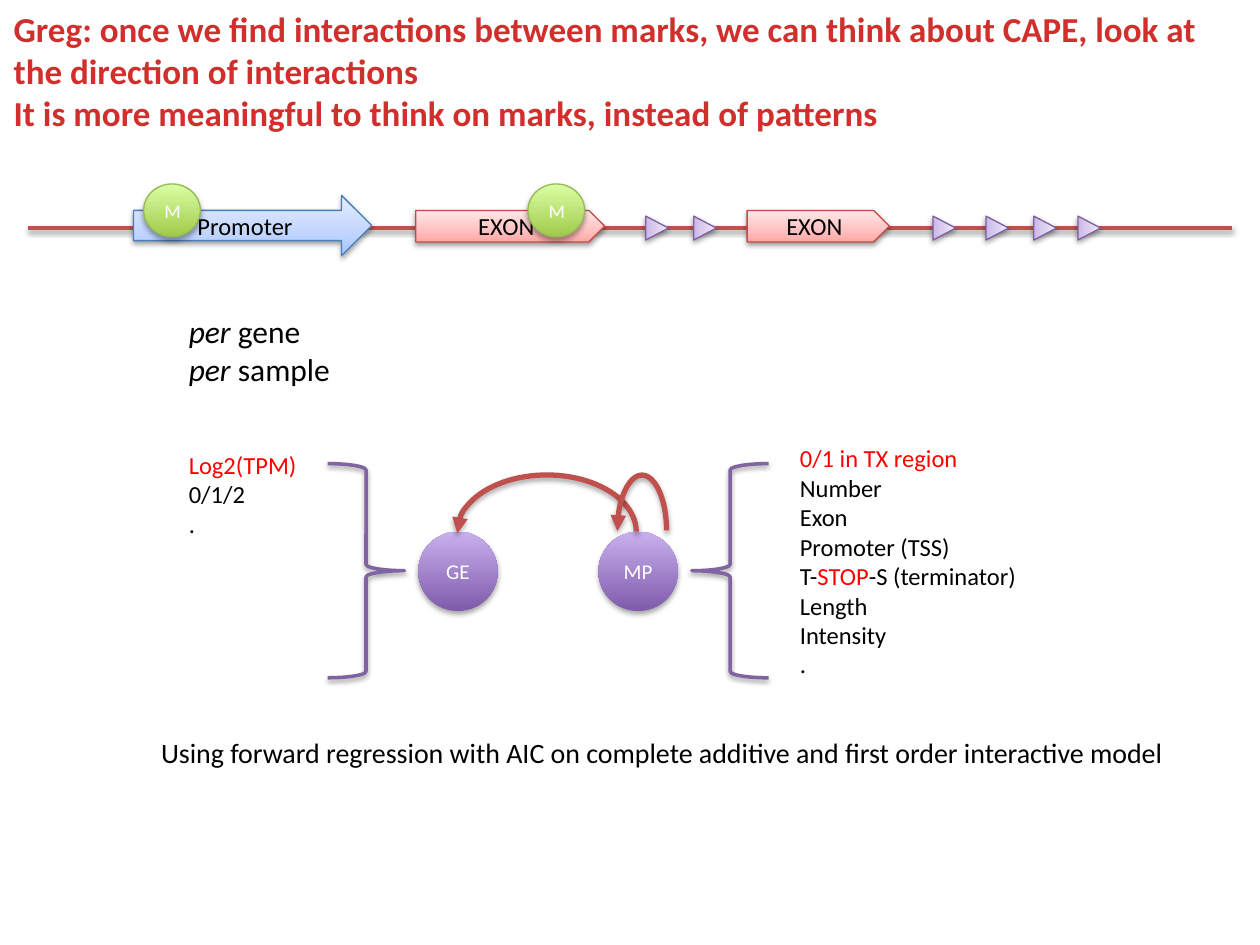
import copy

import lxml.etree
import pptx
import pptx.dml.color
import pptx.enum.shapes
import pptx.enum.text
import pptx.oxml.ns
import pptx.util

Inches = pptx.util.Inches
Pt = pptx.util.Pt
qn = pptx.oxml.ns.qn
colour = pptx.dml.color.RGBColor.from_string
Kind = pptx.enum.shapes.MSO_SHAPE
Align = pptx.enum.text.PP_ALIGN

BLACK, WHITE, RED = "000000", "FFFFFF", "FF0000"
BRICK, PURPLE = "C0504D", "8064A2"
BLUE_BLEND = [(0, "A4C4FF"), (0.35, "BFD4FF"), (1, "E6EEFF")]
PINK_BLEND = [(0, "FFA6A5"), (0.35, "FFC0BF"), (1, "FFE7E7")]
LILAC_BLEND = [(0, "C9B5E8"), (0.35, "D8CBEE"), (1, "F0EAF9")]
GREEN_BLEND = [(0, "A0CA4A"), (1, "DAFFA5")]
VIOLET_BLEND = [(0, "7F5BAB"), (1, "C8B0ED")]
TITLE_BLEND = [(0, "FC7C7A"), (0.75, "D02F2C"), (1, "C70500")]
SOFT = {"alpha": 38, "distance": 1.6}
STRONG = {"alpha": 35, "distance": 1.8}


def blend(fill, parent, stops, angle):
    fill.gradient()
    fill.gradient_angle = angle
    stop_list = parent.find(".//" + qn("a:gsLst"))
    while len(stop_list) < len(stops):
        stop_list.append(copy.deepcopy(stop_list[-1]))
    for stop, (position, value) in zip(fill.gradient_stops, stops):
        stop.position = position
        stop.color.rgb = colour(value)


def write(box, lines, size, align=Align.LEFT):
    frame = box.text_frame
    for index, line in enumerate(lines):
        para = frame.paragraphs[0] if index == 0 else frame.add_paragraph()
        para.alignment = align
        for text, value, style in line:
            if text == "\n":
                para.add_line_break()
                para._p[-1].append(copy.deepcopy(span._r.rPr))
                continue
            span = para.add_run()
            span.text = text
            look = {"name": "Calibri", "size": Pt(size), **style}
            for name, setting in look.items():
                setattr(span.font, name, setting)
            if isinstance(value, list):
                blend(span.font.fill, span._r.rPr, value, 270)
            else:
                span.font.color.rgb = colour(value)


deck = pptx.Presentation()
deck.slide_width, deck.slide_height = Inches(10), Inches(7.5)
page = deck.slides.add_slide(deck.slide_layouts[6])
shadowed = []

gene = page.shapes.add_connector(
    pptx.enum.shapes.MSO_CONNECTOR.STRAIGHT, Inches(0.22), Inches(1.81), Inches(9.78), Inches(1.81)
)
gene.line.color.rgb = colour(BRICK)
gene.line.width = Pt(2)
shadowed.append((gene, SOFT))

triangles = [
    (Kind.ISOSCELES_TRIANGLE, (left, 1.72, 0.19, 0.18), LILAC_BLEND, "7D60A0", SOFT, "", 14, BLACK, Align.CENTER)
    for left in (5.12, 5.5, 7.4, 7.82, 8.2, 8.55)
]
exons = [
    (Kind.PENTAGON, (left, 1.67, width, 0.25), PINK_BLEND, "BF4C48", SOFT, "EXON", 14, BLACK, Align.CENTER)
    for left, width in ((3.3, 1.5), (5.93, 1.13))
]
marks = [
    (Kind.OVAL, (left, 1.46, 0.45, 0.42), GREEN_BLEND, "98B955", STRONG, "M", 11, WHITE, Align.LEFT)
    for left in (4.19, 1.14)
]
nodes = [
    (Kind.OVAL, (left, 4.22, 0.63, 0.63), VIOLET_BLEND, None, STRONG, label, 12, WHITE, Align.CENTER)
    for left, label in ((3.32, "GE"), (4.75, "MP"))
]
promoter = (
    Kind.RIGHT_ARROW, (1.06, 1.55, 1.89, 0.48), BLUE_BLEND, "4B7EBC", SOFT, "Promoter", 14, BLACK, Align.CENTER
)
for kind, place, stops, edge, shadow, label, size, ink, align in [promoter, *exons, *triangles, *marks, *nodes]:
    box = page.shapes.add_shape(kind, *map(Inches, place))
    blend(box.fill, box._element.spPr, stops, 90)
    if edge:
        box.line.color.rgb = colour(edge)
        box.line.width = Pt(0.75)
    else:
        box.line.fill.background()
    if kind == Kind.ISOSCELES_TRIANGLE:
        box.rotation = 90
    if label:
        write(box, [[(label, ink, {})]], size, align)
    shadowed.append((box, shadow))

outlines = [
    (Kind.RIGHT_BRACE, (2.6, 3.68, 0.61, 1.7), PURPLE, 2, SOFT),
    (Kind.LEFT_BRACE, (5.49, 3.68, 0.61, 1.7), PURPLE, 2, SOFT),
    (Kind.ARC, (3.63, 3.77, 1.42, 0.9), BRICK, 3, STRONG),
    (Kind.ARC, (4.9, 3.77, 0.39, 0.88), BRICK, 3, STRONG),
]
for kind, place, edge, width, shadow in outlines:
    box = page.shapes.add_shape(kind, *map(Inches, place))
    box.fill.background()
    box.line.color.rgb = colour(edge)
    box.line.width = Pt(width)
    if kind == Kind.ARC:
        box.adjustments[0] = 107.34
        box.adjustments[1] = 0
        lxml.etree.SubElement(box.line._get_or_add_ln(), qn("a:headEnd"), type="triangle")
    shadowed.append((box, shadow))

for box, shadow in shadowed:
    effects = lxml.etree.SubElement(box._element.spPr, qn("a:effectLst"))
    cast = lxml.etree.SubElement(
        effects, qn("a:outerShdw"), blurRad=str(Pt(3.1)), dist=str(Pt(shadow["distance"])),
        dir="5400000", rotWithShape="0",
    )
    tint = lxml.etree.SubElement(cast, qn("a:srgbClr"), val=BLACK)
    lxml.etree.SubElement(tint, qn("a:alpha"), val=str(shadow["alpha"] * 1000))

features = [
    [("0/1 in TX region", RED, {})],
    *[[(text, BLACK, {})] for text in ("Number", "Exon", "Promoter (TSS)")],
    [("T-", BLACK, {}), ("STOP", RED, {}), ("-S (terminator)", BLACK, {})],
    *[[(text, BLACK, {})] for text in ("Length", "Intensity", ".")],
]
expression = [
    [("Log2(TPM)", RED, {}), ("\n", RED, {}), ("0/1/2", BLACK, {})],
    [(".", BLACK, {})],
]
units = [
    [("per", BLACK, {"italic": True}), (f" {unit}", BLACK, {"italic": False})]
    for unit in ("gene", "sample")
]
method = "Using forward regression with AIC on complete additive and first order interactive model"
title = [
    "Greg: once we find interactions between marks, we can think about CAPE, look at the direction of interactions",
    "It is more meaningful to think on marks, instead of patterns",
]
texts = [
    ((6.25, 3.47, 1.96, 1.99), features, 14, False),
    ((1.4, 3.52, 1.06, 0.81), expression, 14, False),
    ((1.4, 2.43, 1.36, 0.71), units, 18, False),
    ((1.18, 5.79, 8.3, 0.37), [[(method, BLACK, {})]], 16, False),
    ((0.01, 0.01, 9.99, 1.11), [[(text, TITLE_BLEND, {"bold": True})] for text in title], 20, True),
]
for place, lines, size, wrap in texts:
    box = page.shapes.add_textbox(*map(Inches, place))
    box.text_frame.word_wrap = wrap
    box.text_frame.auto_size = pptx.enum.text.MSO_AUTO_SIZE.SHAPE_TO_FIT_TEXT
    write(box, lines, size)

deck.save("out.pptx")
